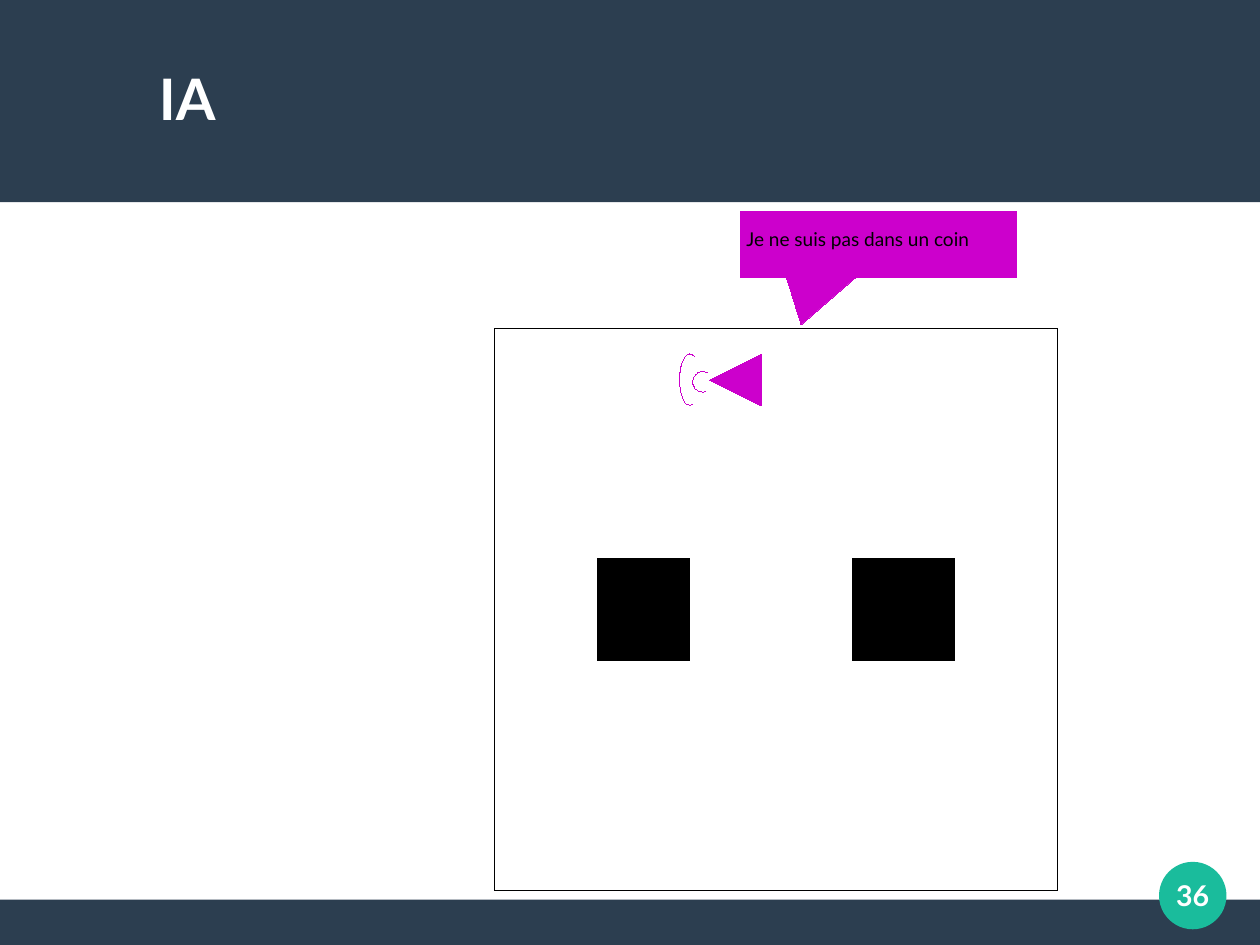
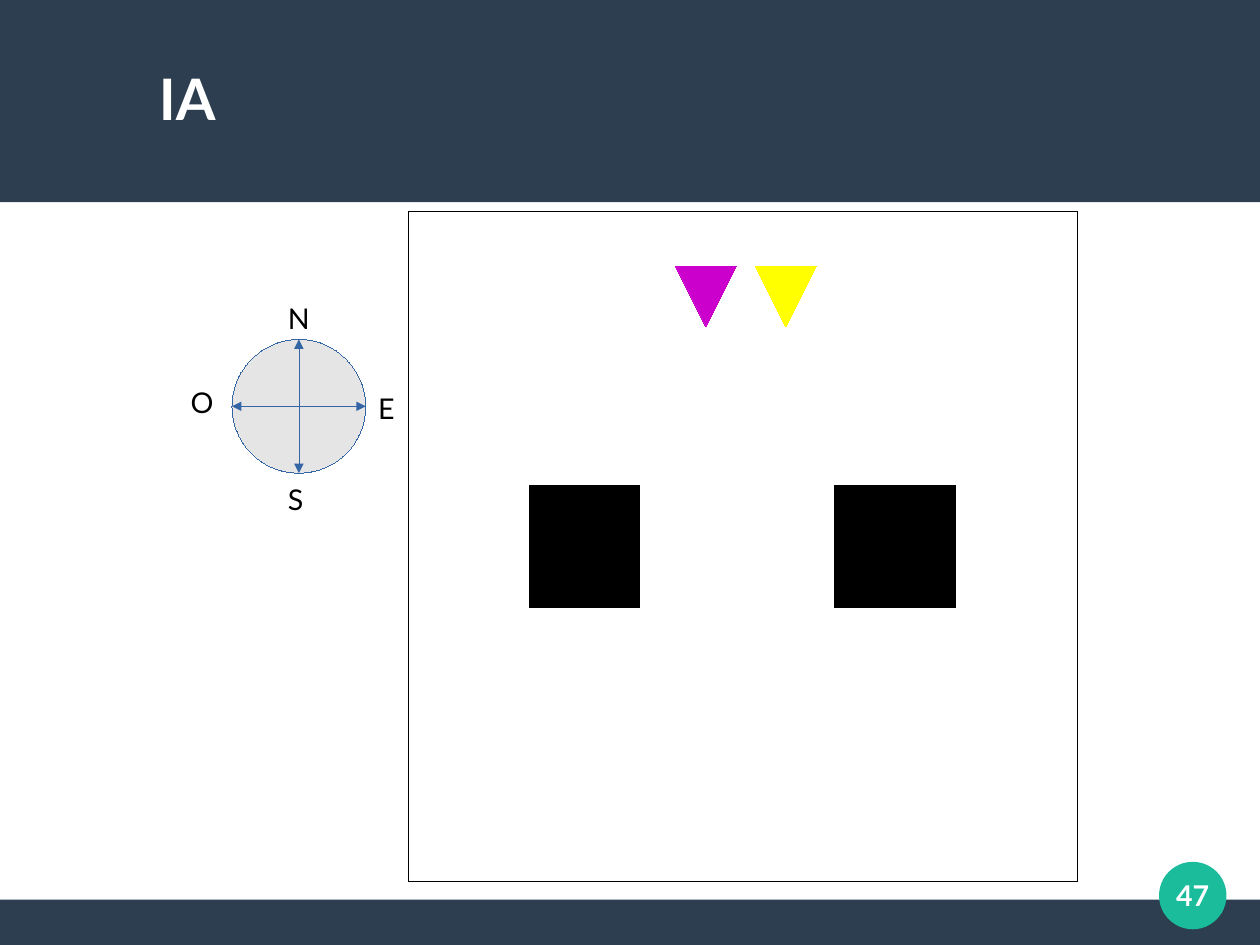
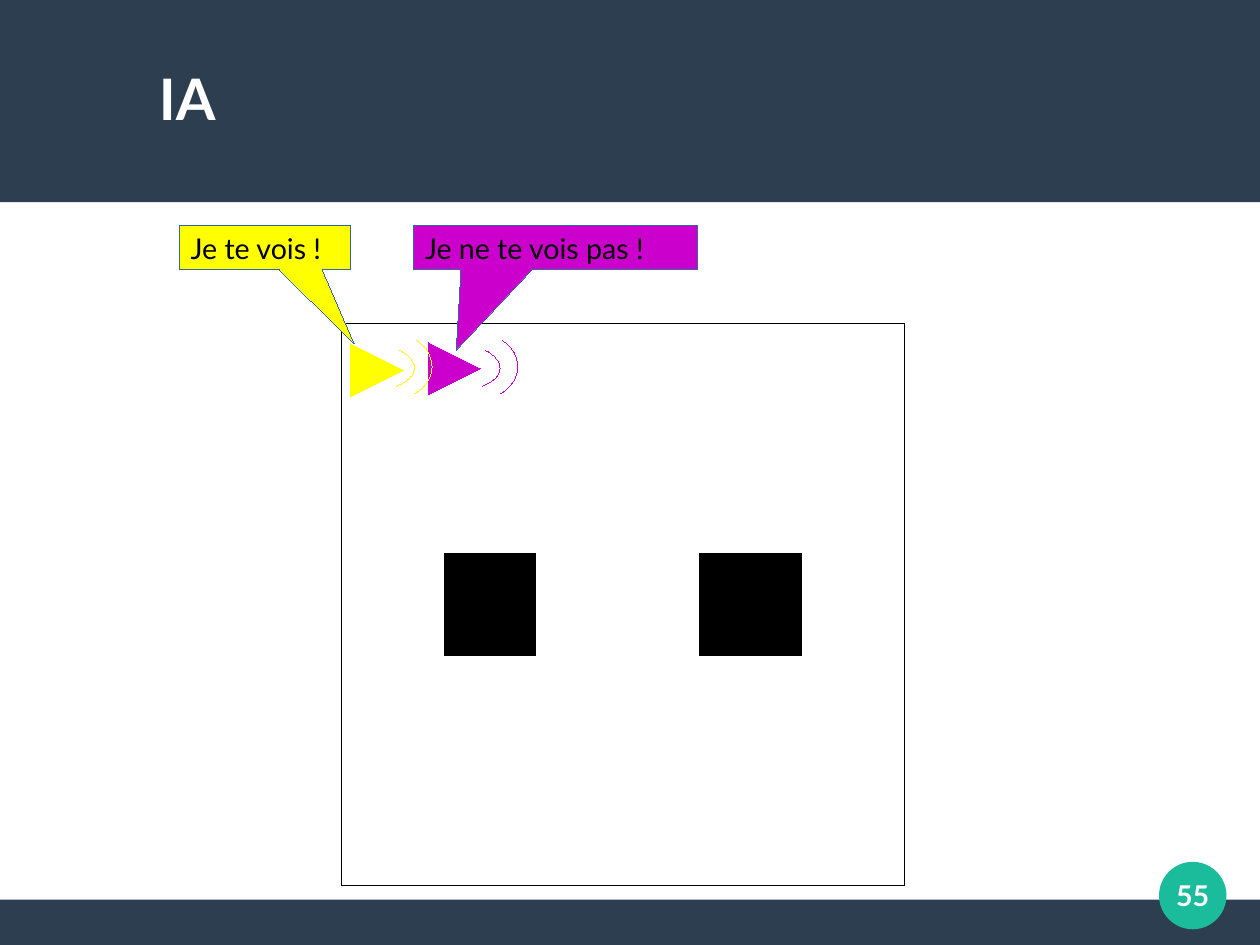
from dataclasses import dataclass
from typing import Any, NamedTuple

from lxml.etree import SubElement as SubElem
from pptx import Presentation as Deck
from pptx.dml.color import RGBColor as Rgb
from pptx.enum.shapes import MSO_CONNECTOR as Link, MSO_SHAPE as Form
from pptx.enum.text import MSO_ANCHOR as Anchor, PP_ALIGN as Align
from pptx.oxml.ns import qn
from pptx.util import Inches, Pt


@dataclass(frozen=True)
class Theme:
    font: str = "Lato"
    navy: str = "2C3E50"
    teal: str = "1ABC9C"
    blue: str = "3465A4"
    pale: str = "729FCF"
    gray: str = "DDDDDD"
    black: str = "000000"
    white: str = "FFFFFF"
    pink: str = "CC00CC"
    yellow: str = "FFFF00"
    head: int = 36
    body: int = 18
    small: int = 12


THEME = Theme()
WIDE, HIGH = 28 / 2.54, 21 / 2.54


class Box(NamedTuple):
    x: float
    y: float
    w: float
    h: float


class Robot(NamedTuple):
    box: Box
    turn: float
    tint: str


class Wave(NamedTuple):
    box: Box
    turn: float
    start: float
    end: float
    tint: str


class Bubble(NamedTuple):
    text: str
    box: Box
    tip: tuple[float, float]
    tint: str
    edge: str
    size: int
    pad: tuple[float, float]


class Scene(NamedTuple):
    page: int
    x: float
    y: float
    side: float
    robots: list[Robot]
    waves: list[Wave]
    talk: list[Bubble]
    rose: bool = False


def apply(item: Any, values: dict[str, Any]) -> None:
    for name, value in values.items():
        setattr(item, name, value)


def place(box: Box) -> list[int]:
    return [Inches(size) for size in box]


def trace(shape: Any, tint: str) -> Any:
    shape.line.color.rgb = Rgb.from_string(tint)
    line = shape._element.spPr.find(qn("a:ln"))
    line.set("w", "0")
    return line


def draw(slide: Any, form: Form, box: Box, fill: str = "", edge: str = "",
         turn: float = 0, adjust: tuple[float, ...] = ()) -> Any:
    shape = slide.shapes.add_shape(form, *place(box))
    shape.shadow.inherit = False
    shape.rotation = turn
    for spot, value in enumerate(adjust):
        shape.adjustments[spot] = value
    if fill:
        shape.fill.solid()
        shape.fill.fore_color.rgb = Rgb.from_string(fill)
    else:
        shape.fill.background()
    if edge:
        trace(shape, edge)
    else:
        shape.line.fill.background()
    return shape


def write(shape: Any, text: str, size: int, tint: str, bold: bool = False,
          align: Align = Align.LEFT, anchor: Anchor = Anchor.TOP,
          pad: tuple[float, float] = (0, 0)) -> None:
    frame = shape.text_frame
    side, top = map(Inches, pad)
    apply(frame, {"word_wrap": True, "vertical_anchor": anchor,
                  "margin_left": side, "margin_right": side,
                  "margin_top": top, "margin_bottom": 0})
    para = frame.paragraphs[0]
    para.alignment = align
    run = para.add_run()
    run.text = text
    apply(run.font, {"name": THEME.font, "size": Pt(size), "bold": bold})
    run.font.color.rgb = Rgb.from_string(tint)


def label(slide: Any, text: str, box: Box, size: int, tint: str, **style: Any) -> None:
    write(slide.shapes.add_textbox(*place(box)), text, size, tint, **style)


def base(slide: Any, page: int) -> None:
    for top, high in ((7.87, HIGH - 7.87), (0, 1.77)):
        draw(slide, Form.RECTANGLE, Box(0, top, WIDE, high), THEME.navy)
    badge = draw(slide, Form.OVAL, Box(10.14, 7.54, 0.59, 0.59), THEME.teal)
    write(badge, str(page), THEME.body, THEME.white, bold=True,
          align=Align.CENTER, anchor=Anchor.MIDDLE)
    label(slide, "IA", Box(1.39, 0.33, 9.24, 1.05), THEME.head, THEME.white,
          bold=True, anchor=Anchor.MIDDLE)


def room(slide: Any, x: float, y: float, side: float) -> None:
    draw(slide, Form.FRAME, Box(x, y, side, side), THEME.pale, THEME.black, adjust=(0,))
    unit = side / 5.5
    for left, wide in ((1, 0.9), (3.5, 1)):
        block = Box(x + left * unit, y + 2.25 * unit, wide * unit, unit)
        draw(slide, Form.RECTANGLE, block, THEME.black, THEME.black)


def arrow(slide: Any, x1: float, y1: float, x2: float, y2: float) -> None:
    link = slide.shapes.add_connector(Link.STRAIGHT, *map(Inches, (x1, y1, x2, y2)))
    line = trace(link, THEME.blue)
    for end in ("a:headEnd", "a:tailEnd"):
        SubElem(line, qn(end), type="triangle")
    SubElem(link._element.spPr, qn("a:effectLst"))


def rose(slide: Any) -> None:
    x, y, size = 2.03, 2.97, 1.17
    mid = size / 2
    disc = draw(slide, Form.OVAL, Box(x, y, size, size), THEME.gray, THEME.blue)
    tint = disc._element.spPr.find(qn("a:solidFill")).find(qn("a:srgbClr"))
    SubElem(tint, qn("a:alpha"), val="76000")
    arrow(slide, x + mid, y + size, x + mid, y)
    arrow(slide, x, y + mid, x + size, y + mid)
    for text, left, top in (("N", 2.42, 2.58), ("E", 3.21, 3.37),
                            ("S", 2.42, 4.17), ("O", 1.57, 3.32)):
        label(slide, text, Box(left, top, 0.48, 0.53), THEME.body, THEME.black,
              pad=(0.1, 0.05))


def render(slide: Any, scene: Scene) -> None:
    base(slide, scene.page)
    room(slide, scene.x, scene.y, scene.side)
    for bot in scene.robots:
        draw(slide, Form.ISOSCELES_TRIANGLE, bot.box, bot.tint, bot.tint, bot.turn)
    for wave in scene.waves:
        draw(slide, Form.ARC, wave.box, edge=wave.tint, turn=wave.turn,
             adjust=(wave.start, wave.end))
    if scene.rose:
        rose(slide)
    for said in scene.talk:
        shape = draw(slide, Form.RECTANGULAR_CALLOUT, said.box, said.tint, said.edge,
                     adjust=said.tip)
        write(shape, said.text, said.size, THEME.black, pad=said.pad)


def pulse(x: float, tint: str) -> list[Wave]:
    return [Wave(Box(x + 0.06, 2.81, 0.61, 0.79), 90, 137.46, 189.04, tint),
            Wave(Box(x, 2.81, 0.41, 0.8), 91.5, 144.27, 181.96, tint)]


PINK, GOLD = THEME.pink, THEME.yellow

SCENES = [
    Scene(36, 4.33, 2.87, 4.92,
          [Robot(Box(6.21, 3.1, 0.45, 0.45), 270, PINK)],
          [Wave(Box(5.81, 3.23, 0.45, 0.18), 90, 212.8, 114.35, PINK),
           Wave(Box(6.06, 3.25, 0.18, 0.18), 90, 208.25, 122.81, PINK)],
          [Bubble("Je ne suis pas dans un coin", Box(6.48, 1.85, 2.41, 0.58),
                  (-0.28, 1.21), PINK, PINK, THEME.small, (0.05, 0.14))]),
    Scene(47, 3.57, 1.85, 5.86,
          [Robot(Box(5.91, 2.33, 0.53, 0.53), 180, PINK),
           Robot(Box(6.61, 2.33, 0.53, 0.53), 180, GOLD)],
          [], [], rose=True),
    Scene(55, 2.99, 2.83, 4.92,
          [Robot(Box(3.75, 3, 0.45, 0.45), 90, PINK),
           Robot(Box(3.07, 3.01, 0.46, 0.46), 90, GOLD)],
          pulse(3.77, PINK) + pulse(3.02, GOLD),
          [Bubble("Je te vois !", Box(1.57, 1.97, 1.5, 0.39),
                  (0.52, 2.16), GOLD, THEME.blue, THEME.body, (0.1, 0.05)),
           Bubble("Je ne te vois pas !", Box(3.62, 1.97, 2.48, 0.39),
                  (-0.35, 2.3), PINK, THEME.blue, THEME.body, (0.1, 0.05))]),
]


def main() -> None:
    deck = Deck()
    apply(deck, {"slide_width": Inches(WIDE), "slide_height": Inches(HIGH)})
    for scene in SCENES:
        render(deck.slides.add_slide(deck.slide_layouts[6]), scene)
    deck.save("out.pptx")


if __name__ == "__main__":
    main()
